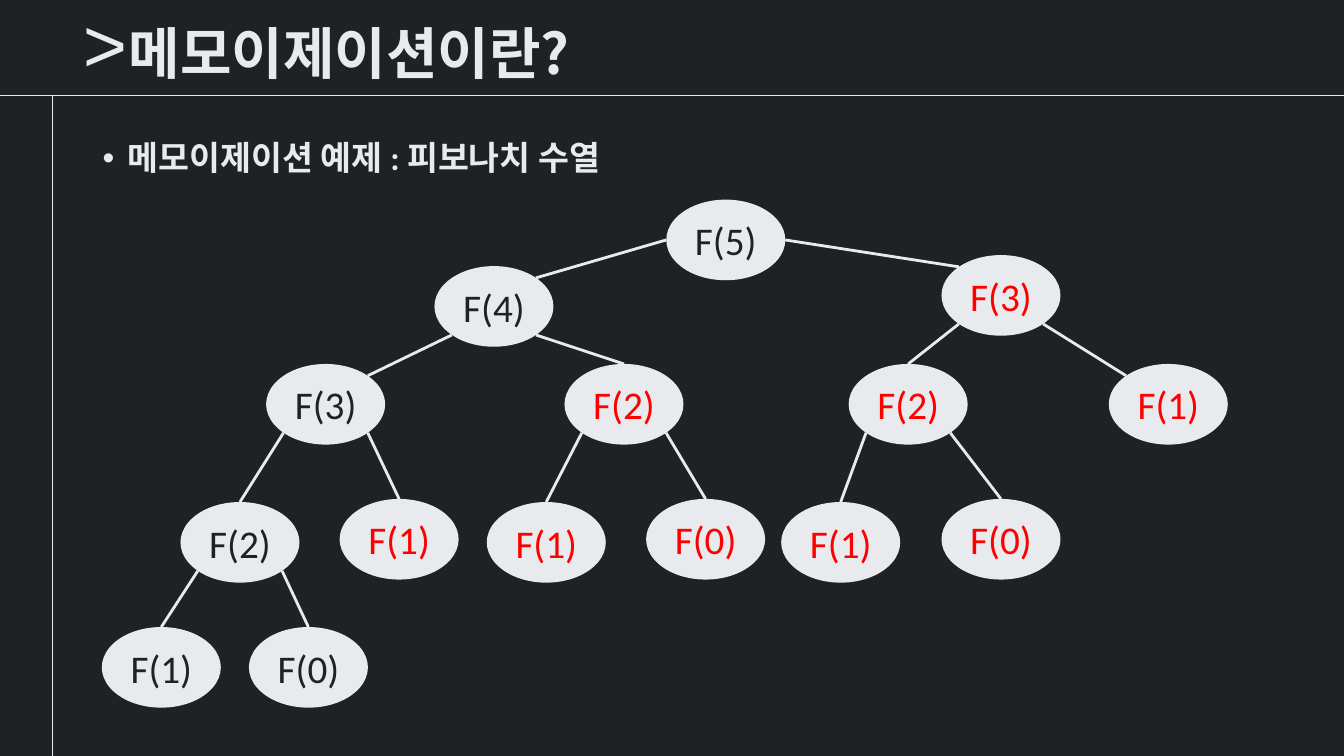
import lxml.etree
import pptx
import pptx.dml.color
import pptx.enum.shapes
import pptx.enum.text
import pptx.oxml.ns
import pptx.util

Pt = pptx.util.Pt
qn = pptx.oxml.ns.qn
SHAPES = pptx.enum.shapes.MSO_SHAPE
ANCHOR = pptx.enum.text.MSO_ANCHOR
ALIGN = pptx.enum.text.PP_ALIGN

BACKGROUND = pptx.dml.color.RGBColor(0x20, 0x21, 0x24)
LIGHT = pptx.dml.color.RGBColor(0xE8, 0xEA, 0xED)
RED = pptx.dml.color.RGBColor(0xFF, 0x00, 0x00)
HANGUL_FONT = "Noto Sans CJK KR"

NODE_WIDTH, NODE_HEIGHT = 85, 57.6
CORNER = 0.146

# label, left, top, parent index, joins at corner, colour
CALLS = [
    ("F(5)", 403.2, 0, None, False, BACKGROUND),
    ("F(4)", 237.6, 47.5, 0, True, BACKGROUND),
    ("F(3)", 599.8, 39.6, 0, True, RED),
    ("F(2)", 330.5, 117.4, 1, False, RED),
    ("F(3)", 117.4, 117.4, 1, True, BACKGROUND),
    ("F(2)", 533.5, 117.4, 2, False, RED),
    ("F(1)", 719.3, 117.4, 2, True, RED),
    ("F(2)", 56.2, 216, 4, False, BACKGROUND),
    ("F(1)", 169.9, 213.8, 4, False, RED),
    ("F(1)", 275, 216, 3, False, RED),
    ("F(0)", 388.8, 213.8, 3, False, RED),
    ("F(1)", 485.3, 216, 5, False, RED),
    ("F(0)", 599.8, 213.8, 5, False, RED),
    ("F(1)", 0, 305.3, 7, False, BACKGROUND),
    ("F(0)", 105.1, 305.3, 7, False, BACKGROUND),
]


def style_run(paragraph, font_name, size, color, bold=False):
    """Format the only run of a paragraph, Hangul included."""
    run = paragraph.runs[0]
    run.font.name = font_name
    run.font.size = Pt(size)
    run.font.bold = bold
    run.font.color.rgb = color
    latin = run._r.rPr.find(qn("a:latin"))
    hangul = lxml.etree.Element(qn("a:ea"), typeface=HANGUL_FONT)
    latin.addnext(hangul)


def add_line(slide, start, end, width):
    """Draw a plain light line between two points."""
    line = slide.shapes.add_connector(
        pptx.enum.shapes.MSO_CONNECTOR.STRAIGHT,
        Pt(start[0]), Pt(start[1]), Pt(end[0]), Pt(end[1]))
    line.line.color.rgb = LIGHT
    line.line.width = Pt(width)
    lxml.etree.SubElement(line._element.spPr, qn("a:effectLst"))


def add_text(slide, box, text, anchor):
    """Add a wrapping text box and return its paragraph."""
    frame = slide.shapes.add_textbox(*map(Pt, box)).text_frame
    frame.word_wrap = True
    frame.vertical_anchor = anchor
    frame.text = text
    return frame.paragraphs[0]


def draw_header(slide, box):
    """Draw the rules, the prompt mark and the title."""
    left, top, width, height = box
    add_line(slide, (left, top + height), (left + width, top + height), 1)
    add_line(slide, (left + 37.4, 540), (left + 37.4, top + height), 1)

    prompt = add_text(slide, (left + 51.8, top - 5.8, 38.9, 72.7), ">", ANCHOR.TOP)
    style_run(prompt, "Courier New", 54, LIGHT)

    title = add_text(slide, (left + 85, top + 15.1, 666.7, 50.4),
                     "메모이제이션이란?", ANCHOR.MIDDLE)
    title.line_spacing = 0.9
    style_run(title, HANGUL_FONT, 40, LIGHT, bold=True)


def draw_topic(slide, box):
    """Write the bulleted topic line."""
    topic = add_text(slide, box, "메모이제이션 예제 : 피보나치 수열", ANCHOR.MIDDLE)
    topic.line_spacing = 0.9
    properties = topic._p.get_or_add_pPr()
    properties.set("marL", str(Pt(18)))
    properties.set("indent", str(-Pt(18)))
    lxml.etree.SubElement(properties, qn("a:buFont"), typeface="Arial")
    lxml.etree.SubElement(properties, qn("a:buChar"), char="•")
    style_run(topic, "Calibri", 24, LIGHT, bold=True)


def node_point(origin, call, across, down):
    """Return a point at the given fractions of a node's bounds."""
    return (origin[0] + call[1] + across * NODE_WIDTH,
            origin[1] + call[2] + down * NODE_HEIGHT)


def draw_call_tree(slide, origin):
    """Draw the Fibonacci calls and the lines joining each to its parent."""
    for label, left, top, _, _, color in CALLS:
        node = slide.shapes.add_shape(
            SHAPES.OVAL, Pt(origin[0] + left), Pt(origin[1] + top),
            Pt(NODE_WIDTH), Pt(NODE_HEIGHT))
        node.shadow.inherit = False
        node.fill.solid()
        node.fill.fore_color.rgb = LIGHT
        node.line.fill.background()
        frame = node.text_frame
        frame.word_wrap = False
        frame.vertical_anchor = ANCHOR.MIDDLE
        frame.text = label
        frame.paragraphs[0].alignment = ALIGN.CENTER
        style_run(frame.paragraphs[0], "Calibri", 28, color)

    for call in CALLS[1:]:
        parent = CALLS[call[3]]
        on_left = call[1] < parent[1]
        inset, down = (0, 0.5) if call[3] == 0 else (CORNER, 1 - CORNER)
        start = node_point(origin, parent, inset if on_left else 1 - inset, down)
        if call[4]:
            end = node_point(origin, call, 1 - CORNER if on_left else CORNER, CORNER)
        else:
            end = node_point(origin, call, 0.5, 0)
        add_line(slide, start, end, 2)


def main():
    """Build the memoization slide and save it."""
    deck = pptx.Presentation()
    deck.slide_width, deck.slide_height = Pt(960), Pt(540)
    slide = deck.slides.add_slide(deck.slide_layouts[6])
    slide.background.fill.solid()
    slide.background.fill.fore_color.rgb = BACKGROUND
    draw_header(slide, (0, 0, 960, 68.4))
    draw_topic(slide, (66.2, 98.6, 828, 31))
    draw_call_tree(slide, (72.7, 142.6))
    deck.save("out.pptx")


if __name__ == "__main__":
    main()
